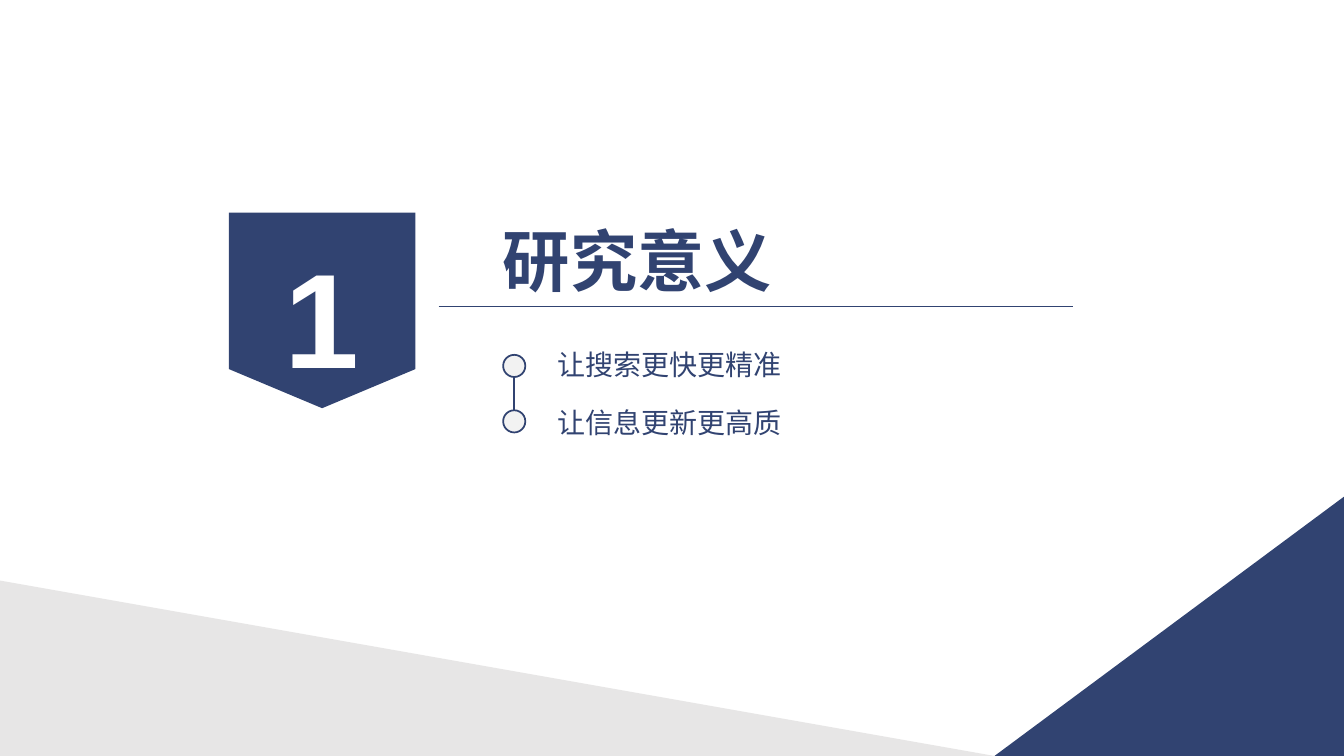
from pptx import Presentation
from pptx.dml.color import RGBColor
from pptx.enum.shapes import MSO_CONNECTOR as LINE, MSO_SHAPE as SHAPE
from pptx.enum.text import MSO_ANCHOR as ANCHOR, MSO_AUTO_SIZE as AUTO, PP_ALIGN as ALIGN
from pptx.oxml.ns import qn
from pptx.util import Inches, Pt

NAVY = RGBColor(0x31, 0x43, 0x71)
WHITE = RGBColor(0xFF, 0xFF, 0xFF)
PALE = RGBColor(0xF2, 0xF2, 0xF2)
GREY = RGBColor(0xE7, 0xE6, 0xE6)
LATIN, CJK = "Arial", "Noto Sans CJK SC"

NUMBER = "1"
TITLE = "研究意义"
POINTS = ["让搜索更快更精准", "让信息更新更高质"]

W, H = 13.33, 7.5
CORNER_X = 0.74 * W
CORNERS = [
    (GREY, [(0, H), (0, 0.768 * H), (CORNER_X, H)]),
    (NAVY, [(W, H), (W, 0.657 * H), (CORNER_X, H)]),
]
BADGE = (2.27, 2.11, 1.85, 1.94)
RULE_X, RULE_Y, RULE_W = 4.35, 3.04, 6.29
TITLE_BOX = (4.89, 2.13, 2.87, 0.91)
POINT_X, POINT_Y, POINT_W, POINT_H, POINT_STEP = 5.4, 3.38, 3.5, 0.47, 0.57
DOT_X, DOT_Y, DOT, DOT_STEP = 4.99, 3.52, 0.22, 0.55


def inches(*values):
    return [Inches(v) for v in values]


def paint(sp, fill, line=None):
    sp.shadow.inherit = False
    sp.fill.solid()
    sp.fill.fore_color.rgb = fill
    if line is None:
        sp.line.fill.background()
    else:
        sp.line.color.rgb = line
        sp.line.width = Pt(1.25)


def add_line(shapes, x1, y1, x2, y2, width):
    sp = shapes.add_connector(LINE.STRAIGHT, *inches(x1, y1, x2, y2))
    sp.line.color.rgb = NAVY
    sp.line.width = Pt(width)
    sp._element.spPr.get_or_add_ln().addnext(
        sp._element.makeelement(qn("a:effectLst"), {}))


def add_run(p, text, size, font, color, bold=False):
    r = p.add_run()
    r.text = text
    r.font.size, r.font.bold, r.font.name = Pt(size), bold, font
    r.font.color.rgb = color
    rPr = r._r.get_or_add_rPr()
    rPr.find(qn("a:latin")).addnext(rPr.makeelement(qn("a:ea"), {"typeface": font}))


def add_text(shapes, box, text, size, bold=False, wrap=True, margins=(0.1, 0.05)):
    tf = shapes.add_textbox(*inches(*box)).text_frame
    tf.word_wrap = wrap
    tf.auto_size = AUTO.SHAPE_TO_FIT_TEXT
    tf.margin_left = tf.margin_right = Inches(margins[0])
    tf.margin_top = tf.margin_bottom = Inches(margins[1])
    add_run(tf.paragraphs[0], text, size, CJK, NAVY, bold)


def add_badge(shapes):
    sp = shapes.add_shape(SHAPE.FLOWCHART_OFFPAGE_CONNECTOR, *inches(*BADGE))
    paint(sp, NAVY)
    tf = sp.text_frame
    tf.vertical_anchor = ANCHOR.MIDDLE
    p = tf.paragraphs[0]
    p.alignment, p.line_spacing = ALIGN.CENTER, 1.3
    add_run(p, NUMBER, 96, LATIN, WHITE, True)


def add_points(shapes):
    for i, text in enumerate(POINTS):
        box = (POINT_X, POINT_Y + i * POINT_STEP, POINT_W, POINT_H)
        add_text(shapes, box, text, 20, margins=(0.13, 0.07))
    dots = shapes.add_group_shape().shapes
    x = DOT_X + DOT / 2
    add_line(dots, x, DOT_Y + DOT, x, DOT_Y + DOT_STEP * (len(POINTS) - 1), 1.25)
    for i in range(len(POINTS)):
        sp = dots.add_shape(SHAPE.OVAL, *inches(DOT_X, DOT_Y + i * DOT_STEP, DOT, DOT))
        paint(sp, PALE, NAVY)


def add_corners(shapes):
    for color, corners in CORNERS:
        start, *rest = [tuple(inches(*c)) for c in corners]
        fb = shapes.build_freeform(*start)
        fb.add_line_segments(rest, close=True)
        paint(fb.convert_to_shape(), color)


def main():
    """Build the section slide and save it."""
    prs = Presentation()
    prs.slide_width, prs.slide_height = inches(W, H)
    s = prs.slides.add_slide(prs.slide_layouts[6])
    add_badge(s.shapes)
    add_line(s.shapes, RULE_X, RULE_Y, RULE_X + RULE_W, RULE_Y, 1)
    add_text(s.shapes, TITLE_BOX, TITLE, 48, bold=True, wrap=False)
    add_points(s.shapes)
    add_corners(s.shapes)
    prs.save("out.pptx")


if __name__ == "__main__":
    main()
